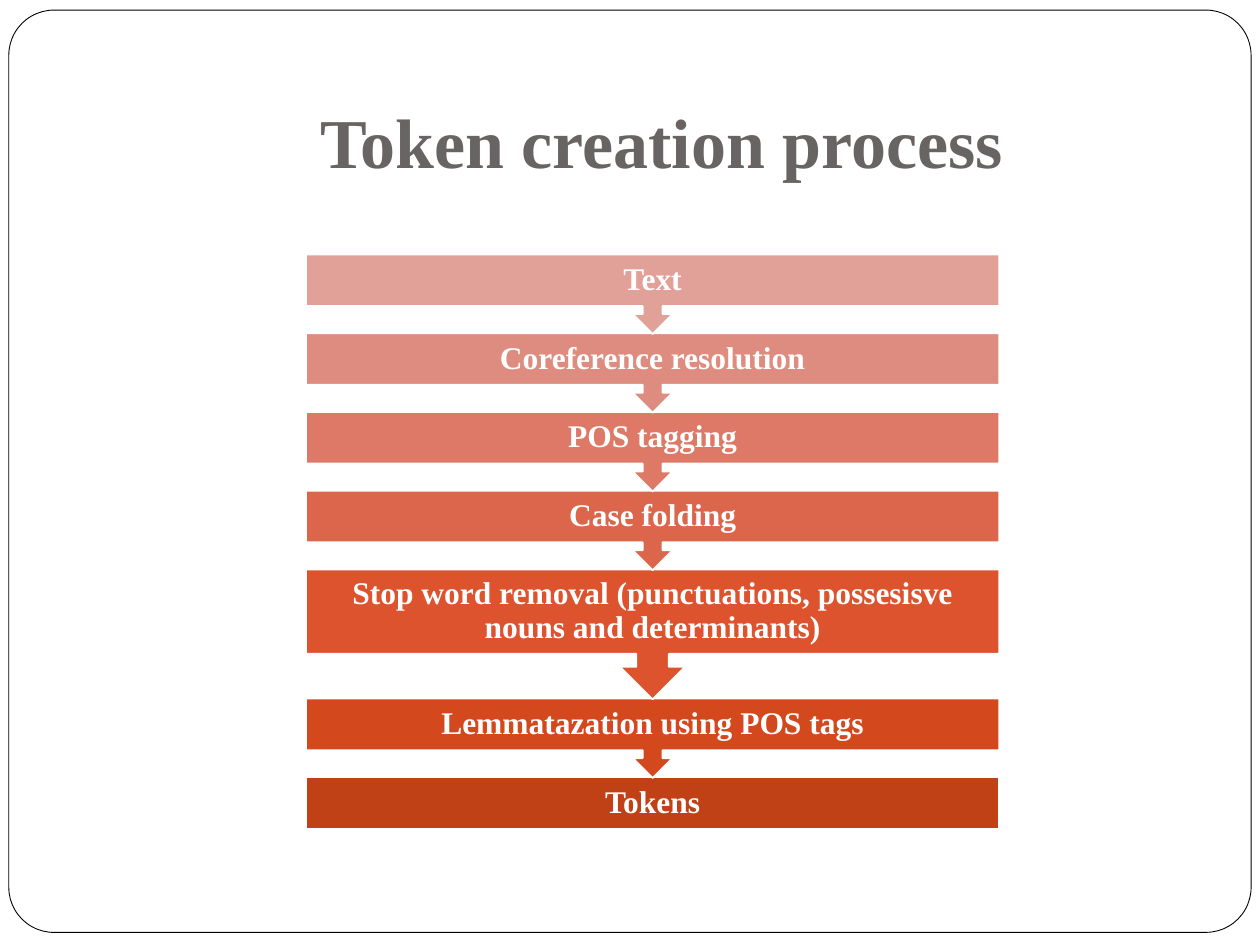
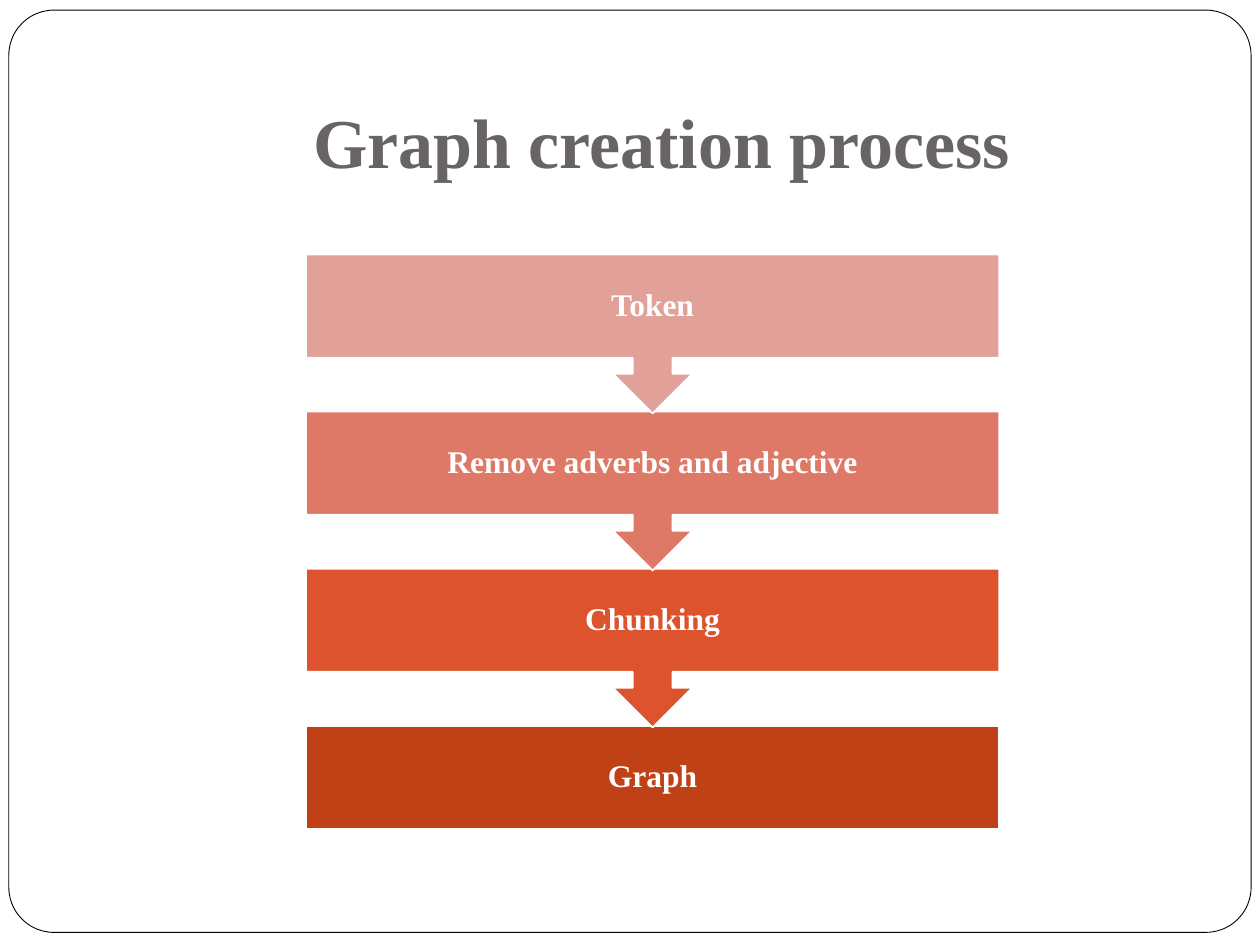
from pptx import Presentation
from pptx.dml.color import RGBColor
from pptx.enum.shapes import MSO_SHAPE
from pptx.enum.text import MSO_ANCHOR, PP_ALIGN
from pptx.util import Inches, Pt

FONT = "Times New Roman"
COLORS = {
    "white": "FFFFFF",
    "frame": "000000",
    "title": "696464",
    "step1": "E1A098",
    "step2": "DE8C7F",
    "step3": "DD7966",
    "step4": "DC664B",
    "step5": "DD532E",
    "step6": "D3481D",
    "step7": "BF4115",
}
RAMP = [f"step{number}" for number in range(1, 8)]
FLOW_LEFT, FLOW_TOP, FLOW_WIDTH, FLOW_BOTTOM = 2.43, 2.02, 5.5, 6.58
BODY_SHARE = 0.65

TOKEN_STEPS = [
    ("Text", 0.41),
    ("Coreference resolution", 0.41),
    ("POS tagging", 0.41),
    ("Case folding", 0.41),
    ("Stop word removal (punctuations, possesisve nouns and determinants)", 0.67),
    ("Lemmatazation using POS tags", 0.41),
    ("Tokens", 0.41),
]
GRAPH_STEPS = [
    ("Token", 0.82),
    ("Remove adverbs and adjective", 0.82),
    ("Chunking", 0.82),
    ("Graph", 0.82),
]


def color(name):
    """Return the named colour."""
    return RGBColor.from_string(COLORS[name])


def write_text(shape, text, size, color_name, anchor, insets):
    """Write one bold centred paragraph into a shape and return it."""
    frame = shape.text_frame
    frame.word_wrap = True
    frame.vertical_anchor = anchor
    (frame.margin_left, frame.margin_top,
     frame.margin_right, frame.margin_bottom) = map(Inches, insets)
    paragraph = frame.paragraphs[0]
    paragraph.alignment = PP_ALIGN.CENTER
    run = paragraph.add_run()
    run.text = text
    run.font.name = FONT
    run.font.size = Pt(size)
    run.font.bold = True
    run.font.color.rgb = color(color_name)
    return paragraph


def add_box(slide, kind, bounds, fill, line, line_width):
    """Add a flat preset shape with a fill and an outline."""
    shape = slide.shapes.add_shape(kind, *map(Inches, bounds))
    shape.shadow.inherit = False
    shape.fill.solid()
    shape.fill.fore_color.rgb = color(fill)
    shape.line.color.rgb = color(line)
    shape.line.width = Pt(line_width)
    return shape


def add_frame(slide):
    """Add the rounded frame around the slide."""
    frame = add_box(slide, MSO_SHAPE.ROUNDED_RECTANGLE,
                    (0.07, 0.08, 9.86, 7.32), "white", "frame", 0.5)
    frame.adjustments[0] = 0.049


def add_title(slide, text):
    """Add the slide title."""
    title = slide.shapes.add_textbox(*map(Inches, (1, 0.3, 8.5, 1.25)))
    write_text(title, text, 40, "title", MSO_ANCHOR.BOTTOM, (0.1, 0.05, 0.1, 0.1))


def add_step(slide, kind, top, height, text, fill):
    """Add one labelled step of the flow."""
    step = add_box(slide, kind, (FLOW_LEFT, top, FLOW_WIDTH, height), fill, "white", 1)
    paragraph = write_text(step, text, 18, "white", MSO_ANCHOR.MIDDLE,
                           (0.14, 0.02, 0.14, 0.02))
    paragraph.line_spacing = 0.9


def add_flow(slide, steps, fills):
    """Stack arrow callouts down to a final box, evenly overlapped to fit the flow."""
    heights = [body / BODY_SHARE for _, body in steps[:-1]] + [steps[-1][1]]
    overlap = (sum(heights) - (FLOW_BOTTOM - FLOW_TOP)) / (len(steps) - 1)
    bottom = FLOW_BOTTOM
    kind = MSO_SHAPE.RECTANGLE
    for (text, _), height, fill in reversed(list(zip(steps, heights, fills))):
        top = bottom - height
        add_step(slide, kind, top, height, text, fill)
        bottom = top + overlap
        kind = MSO_SHAPE.DOWN_ARROW_CALLOUT


def add_process_slide(presentation, title, steps, fills):
    """Add a framed slide with a title and a process flow."""
    slide = presentation.slides.add_slide(presentation.slide_layouts[6])
    add_frame(slide)
    add_title(slide, title)
    add_flow(slide, steps, fills)


def main():
    """Build and save the presentation."""
    presentation = Presentation()
    presentation.slide_width = Inches(10)
    presentation.slide_height = Inches(7.5)
    add_process_slide(presentation, "Token creation process", TOKEN_STEPS, RAMP)
    add_process_slide(presentation, "Graph creation process", GRAPH_STEPS, RAMP[::2])
    presentation.save("out.pptx")


if __name__ == "__main__":
    main()
